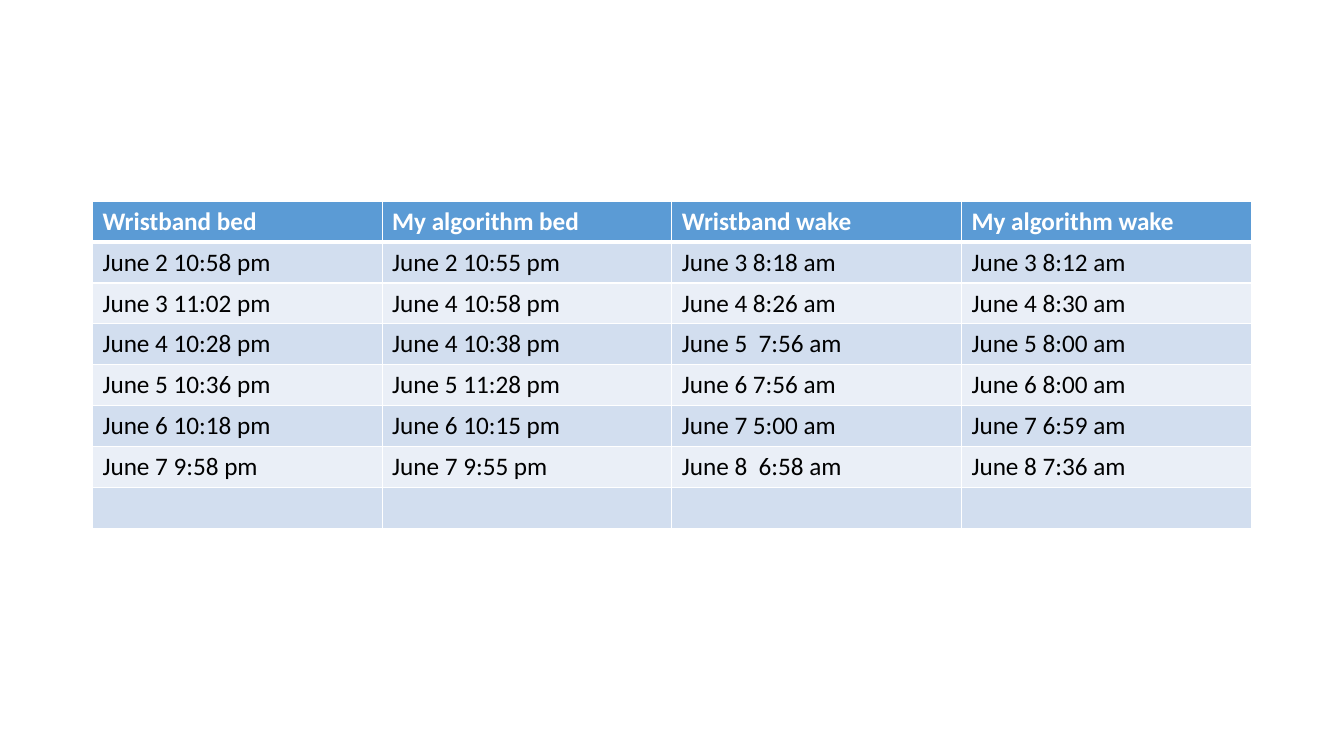
"""Build a slide with a table of bed and wake times."""
from lxml import etree
from pptx import Presentation
from pptx.dml.color import RGBColor
from pptx.oxml.ns import qn
from pptx.util import Cm, Pt

FONT = "Calibri"
WHITE, BLACK, BLUE = "FFFFFF", "000000", "5B9BD5"
BANDS = ("EAEFF7", "D2DEEF")
ROWS = [
    ("Wristband bed", "My algorithm bed", "Wristband wake", "My algorithm wake"),
    ("June 2 10:58 pm", "June 2 10:55 pm", "June 3 8:18 am", "June 3 8:12 am"),
    ("June 3 11:02 pm", "June 4 10:58 pm", "June 4 8:26 am", "June 4 8:30 am"),
    ("June 4 10:28 pm", "June 4 10:38 pm", "June 5  7:56 am", "June 5 8:00 am"),
    ("June 5 10:36 pm", "June 5 11:28 pm", "June 6 7:56 am", "June 6 8:00 am"),
    ("June 6 10:18 pm", "June 6 10:15 pm", "June 7 5:00 am", "June 7 6:59 am"),
    ("June 7 9:58 pm", "June 7 9:55 pm", "June 8  6:58 am", "June 8 7:36 am"),
    ("", "", "", ""),
]


def paint(color, value):
    color.rgb = RGBColor.from_string(value)


def edge(cell, side, width):
    props = cell._tc.get_or_add_tcPr()
    line = etree.SubElement(props, qn("a:ln" + side), w=str(Pt(width)))
    fill = etree.SubElement(line, qn("a:solidFill"))
    etree.SubElement(fill, qn("a:srgbClr"), val=WHITE)


deck = Presentation()
deck.slide_width, deck.slide_height = Cm(33.87), Cm(19.05)
slide = deck.slides.add_slide(deck.slide_layouts[6])

table = slide.shapes.add_table(
    len(ROWS), len(ROWS[0]), Cm(2.33), Cm(5.07), Cm(29.2), Cm(8.24)).table

for row, texts in enumerate(ROWS):
    table.rows[row].height = Cm(1.03)
    head = row == 0
    for col, text in enumerate(texts):
        cell = table.cell(row, col)
        for side in "LRTB":
            thick = (row, side) in ((0, "B"), (1, "T"))
            edge(cell, side, 3 if thick else 1)
        cell.fill.solid()
        paint(cell.fill.fore_color, BLUE if head else BANDS[row % 2])
        cell.text = text
        font = cell.text_frame.paragraphs[0].font
        font.name, font.size, font.bold = FONT, Pt(18), head
        paint(font.color, WHITE if head else BLACK)

deck.save("out.pptx")
